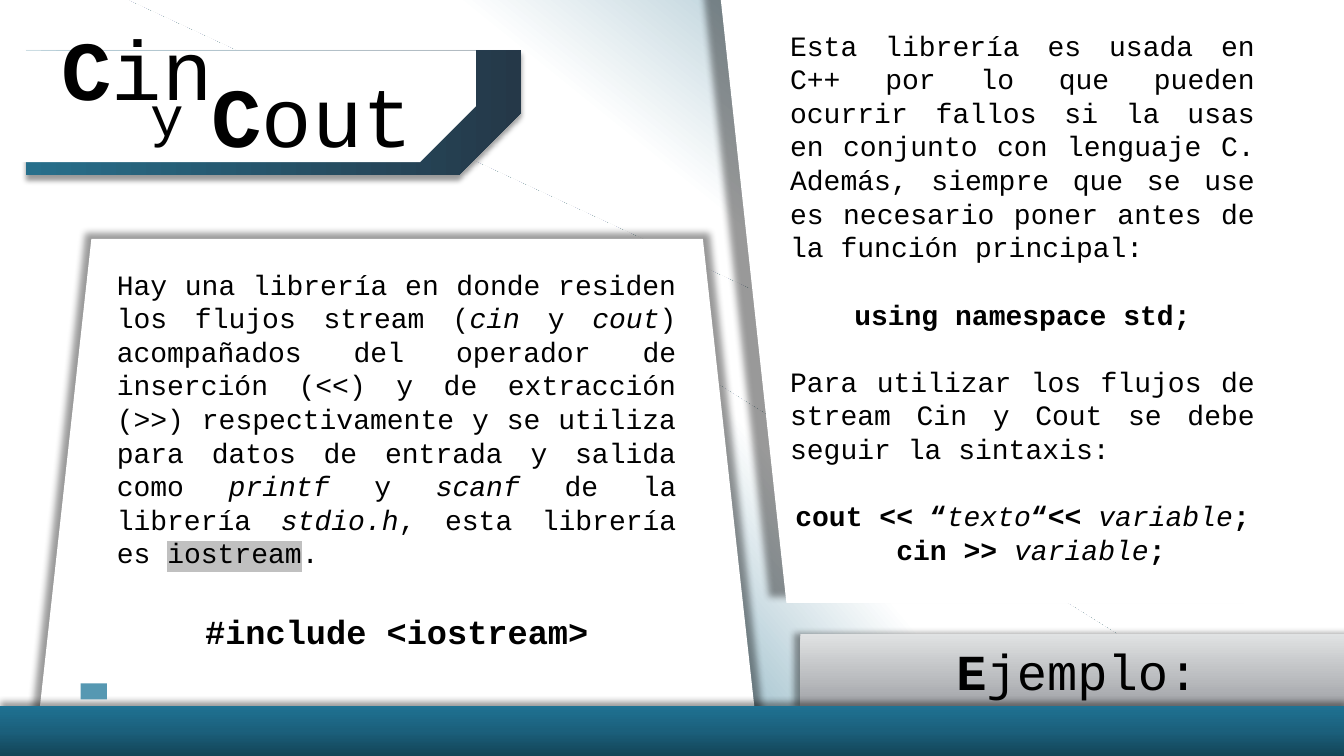
from math import cos, sin, radians
from lxml.etree import SubElement as Sub
from pptx import Presentation
from pptx.dml.color import RGBColor
from pptx.enum.shapes import MSO_SHAPE as SHAPE
from pptx.enum.text import MSO_ANCHOR as ANCHOR, MSO_AUTO_SIZE as AUTO, PP_ALIGN as ALIGN
from pptx.oxml.ns import qn
from pptx.util import Emu, Pt

CELL = 76200
COLS, ROWS = 160, 90
FONT = "Courier New"
GLOW = (5, 0, 0, 102)
UP = (4, 3, 270, 100)
DOWN = (4, 3, 90, 100)


def grid(*cells):
    """Turn grid cells into lengths."""
    return [Emu(round(c * CELL)) for c in cells]


def paint(shape, fill, angle=0):
    """Fill with one hex colour, or with a gradient of (position, hex) stops."""
    shape.shadow.inherit = False
    shape.line.fill.background()
    if isinstance(fill, str):
        shape.fill.solid()
        shape.fill.fore_color.rgb = RGBColor.from_string(fill)
        return
    shape.fill.gradient()
    shape.fill.gradient_angle = (360 - angle) % 360
    stops = shape._element.spPr.find(".//" + qn("a:gsLst"))
    stops[:] = []
    for pos, tone in fill:
        stop = Sub(stops, qn("a:gs"), pos=str(pos * 1000))
        Sub(stop, qn("a:srgbClr"), val=tone)


def shade(shape, blur, dist, angle, scale):
    """Cast a soft black shadow."""
    spot = shape._element.spPr.find(qn("a:effectLst"))
    size = str(scale * 1000)
    cast = Sub(spot, qn("a:outerShdw"), blurRad=str(Pt(blur)), dist=str(Pt(dist)),
               dir=str(angle * 60000), sx=size, sy=size, algn="ctr", rotWithShape="0")
    tone = Sub(cast, qn("a:srgbClr"), val="000000")
    Sub(tone, qn("a:alpha"), val="40000")


def block(slide, kind, cells, fill, angle=0, adj=None, cast=None, turn=0, flip=False):
    """Draw a preset shape on the grid."""
    shape = slide.shapes.add_shape(kind, *grid(*cells))
    paint(shape, fill, angle)
    shape.rotation = turn
    if adj is not None:
        shape.adjustments[0] = adj
    if flip:
        shape._element.spPr.find(qn("a:xfrm")).set("flipV", "1")
    if cast:
        shade(shape, *cast)


def spin(point, hub, turn):
    """Rotate a point clockwise about a hub."""
    a = radians(turn)
    x, y = point[0] - hub[0], point[1] - hub[1]
    return hub[0] + x * cos(a) - y * sin(a), hub[1] + x * sin(a) + y * cos(a)


def curve(points, steps=16):
    """Sample a chain of cubic curves."""
    out = [points[0]]
    for i in range(0, len(points) - 1, 3):
        for n in range(1, steps + 1):
            t = n / steps
            part = ((1 - t) ** 3, 3 * t * (1 - t) ** 2, 3 * t * t * (1 - t), t ** 3)
            out.append(tuple(sum(k * p[axis] for k, p in zip(part, points[i:i + 4]))
                             for axis in (0, 1)))
    return out


def sweep(slide, points, fill, hub=(0, 0), turn=0):
    """Draw a curved backdrop with a gradient."""
    dots = [grid(*spin(p, hub, -turn)) for p in curve(points)]
    pen = slide.shapes.build_freeform(*dots[0])
    pen.add_line_segments(dots[1:], close=False)
    shape = pen.convert_to_shape()
    paint(shape, fill, 320)
    shape.rotation = turn


def write(box, cells, size, paras):
    """Place a box and fill it with (align, gap, indent, runs) paragraphs."""
    box.left, box.top, box.width, box.height = grid(*cells)
    frame = box.text_frame
    frame.word_wrap = True
    frame.auto_size = AUTO.NONE
    frame.vertical_anchor = ANCHOR.TOP
    for i, (align, gap, indent, runs) in enumerate(paras):
        para = frame.paragraphs[0] if i == 0 else frame.add_paragraph()
        para.alignment = align
        para.space_before = Pt(gap)
        if indent:
            para._p.get_or_add_pPr().set("marL", str(grid(indent)[0]))
        font = para.font
        font.name, font.size = FONT, Pt(size)
        font.color.rgb = RGBColor.from_string("000000")
        same = len({style for _, style in runs}) == 1
        if same:
            font.bold = runs[0][1] == "b"
        for text, style in runs:
            run = para.add_run()
            run.text = text
            if style == "b" and not same:
                run.font.bold = True
            if style == "i":
                run.font.italic = True
            if style == "mark":
                mark = Sub(run._r.get_or_add_rPr(), qn("a:highlight"))
                Sub(mark, qn("a:srgbClr"), val="C0C0C0")


def text(slide, cells, size, *paras):
    """Add a text box."""
    write(slide.shapes.add_textbox(*grid(*cells)), cells, size, paras)


def line(*runs, align=ALIGN.LEFT, gap=0, indent=0):
    """Describe one paragraph."""
    return align, gap, indent, runs


def main():
    """Build the slide."""
    deck = Presentation()
    deck.slide_width, deck.slide_height = grid(COLS, ROWS)
    slide = deck.slides.add_slide(deck.slide_layouts[5])
    title = slide.shapes.title

    sweep(slide, [(139.56, 57.48), (128.52, 54.12), (110.88, 41.76), (110.64, 41.04),
                  (110.52, 40.2), (100.32, 0.24), (99.6, -0.6),
                  (98.88, -1.56), (14.64, -0.48), (14.64, -0.48)],
          [(0, "276F8B"), (45, "FFFFFF")], (77.1, 28.56), 168.9)
    sweep(slide, [(60.48, 30.12), (70.68, 34.8), (85.68, 48.12), (85.68, 48.84),
                  (85.68, 49.44), (87.96, 84.96), (88.44, 85.8),
                  (89.04, 86.64), (171.84, 99.84), (171.84, 99.84)],
          [(0, "276F8B"), (41, "FFFFFF")])

    block(slide, SHAPE.RECTANGLE, (95.28, 75.48, 64.72, 8.52),
          [(0, "E0E2E3"), (100, "A2A4A8")], 90, cast=GLOW)
    text(slide, (112.68, 75.6, 61.08, 8.52), 36, line(("E", "b"), ("jemplo:", "")))

    block(slide, SHAPE.TRAPEZOID, (4.44, 28.44, 85.68, 58.56), "FFFFFF", adj=0.11, cast=GLOW)
    text(slide, (12.72, 31.2, 69, 37.56), 20, line(
        ("Hay una librería en donde residen los flujos stream (", ""), ("cin", "i"),
        (" y ", ""), ("cout", "i"),
        (") acompañados del operador de inserción (<<) y de extracción (>>) respectivamente "
         "y se utiliza para datos de entrada y salida como ", ""),
        ("printf", "i"), (" y ", ""), ("scanf", "i"), (" de la librería ", ""),
        ("stdio.h", "i"), (", esta librería es ", ""), ("iostream", "mark"), (".", ""),
        align=ALIGN.JUSTIFY))
    text(slide, (12.72, 72.12, 69, 6), 24,
         line(("#include <iostream>", "b"), align=ALIGN.CENTER))

    block(slide, SHAPE.RECTANGLE, (0, 84, COLS, 6),
          [(0, "134457"), (50, "1B607C"), (100, "1F7293")], 270, cast=UP)
    block(slide, SHAPE.SNIP_1_RECTANGLE, (3.12, 6, 58.92, 14.88),
          [(0, "276F8B"), (100, "253848")], adj=0.5, cast=DOWN, flip=True)
    block(slide, SHAPE.SNIP_1_RECTANGLE, (0, 6, 56.64, 13.32), "FFFFFF", adj=0.5, flip=True)
    slide.shapes._spTree.append(title._element)
    write(title, (6.12, 1.32, 27.36, 25.44), 60, [line(("C", "b"), ("in", ""))])
    block(slide, SHAPE.RECTANGLE, (9.6, 81.36, 3.12, 1.92), "5698B2")

    block(slide, SHAPE.TRAPEZOID, (85.8, -0.12, 71.04, 71.88), "FFFFFF",
          adj=0.11, cast=GLOW, turn=180)
    text(slide, (92.88, 2.76, 57.72, 69.36), 20,
         line(("Esta librería es usada en C++ por lo que pueden ocurrir fallos si la usas en "
               "conjunto con lenguaje C. Además, siempre que se use es necesario poner antes "
               "de la función principal:", ""), align=ALIGN.JUSTIFY),
         line(("using namespace std;", "b"), align=ALIGN.CENTER, gap=24),
         line(("Para utilizar los flujos de stream Cin y Cout se debe seguir la sintaxis:", ""),
              align=ALIGN.JUSTIFY, gap=24),
         line(("cout << “", "b"), ("texto", "i"), ("“<< ", "b"), ("variable", "i"),
              (";", "b"), align=ALIGN.CENTER, gap=24),
         line(("cin >> ", "b"), ("variable", "i"), (";", "b"), align=ALIGN.CENTER, indent=2))
    text(slide, (24, 6.96, 36.48, 25.44), 60, line(("C", "b"), ("out", "")))
    text(slide, (16.68, 9, 11.4, 17.4), 40, line(("y", "")))
    deck.save("out.pptx")


if __name__ == "__main__":
    main()
